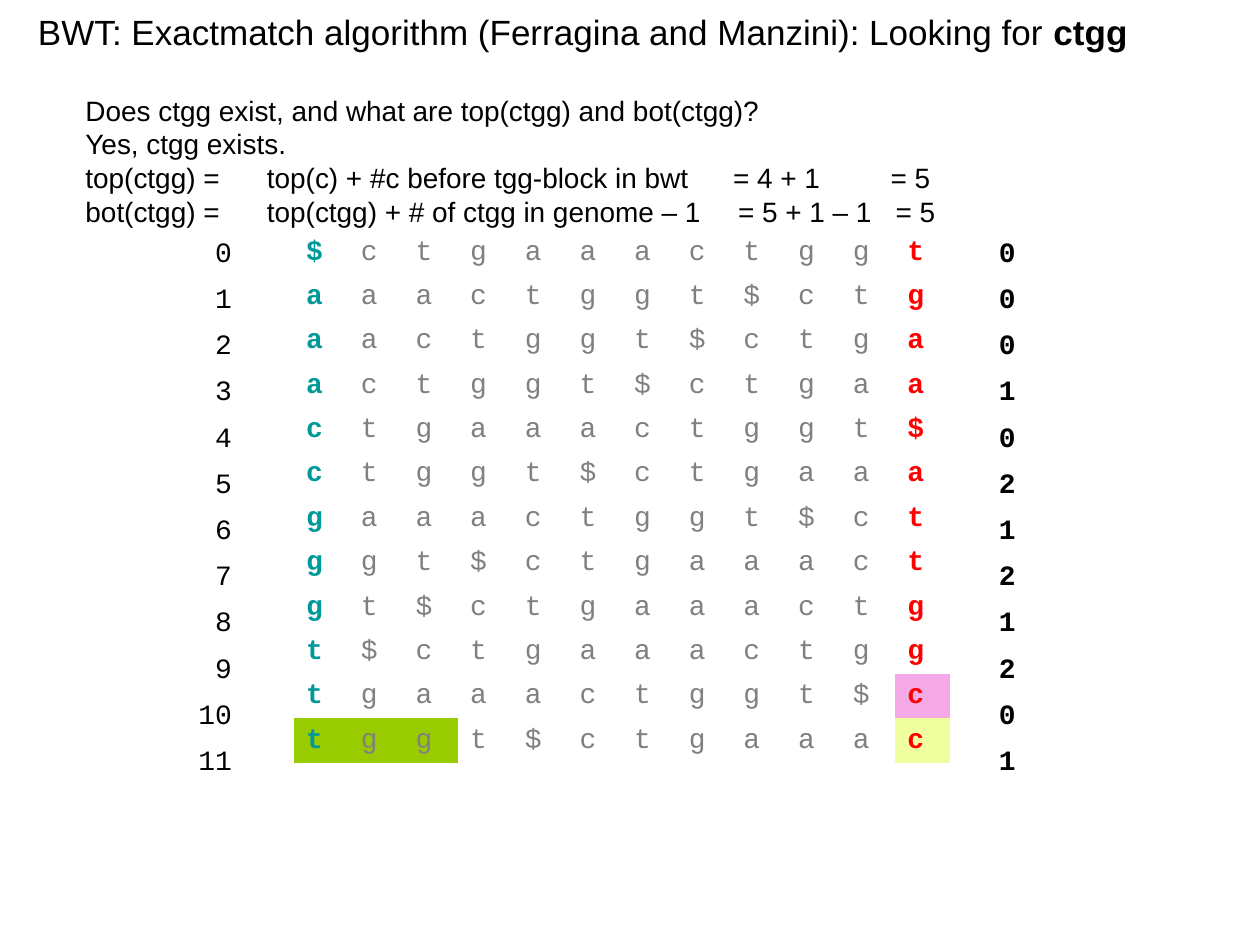
from dataclasses import dataclass
from typing import Callable

from lxml import etree
from pptx import Presentation
from pptx.dml.color import RGBColor
from pptx.enum.text import MSO_ANCHOR, PP_ALIGN
from pptx.oxml.ns import qn
from pptx.util import Inches, Pt

BOTTOM, MIDDLE = MSO_ANCHOR.BOTTOM, MSO_ANCHOR.MIDDLE
LEFT, CENTER, RIGHT = PP_ALIGN.LEFT, PP_ALIGN.CENTER, PP_ALIGN.RIGHT
NO_STYLE_NO_GRID = "{2D5ABB26-0587-4C30-8999-92F81FD0307C}"


@dataclass(frozen=True)
class Theme:
    sans: str = "Arial"
    mono: str = "Courier New"
    title_size: int = 20
    body_size: int = 16
    line_pitch: float = 19.25
    black: str = "000000"
    first_column: str = "009999"
    middle_columns: str = "808080"
    bwt_column: str = "FF0000"
    query_block: str = "99CC00"
    earlier_c: str = "F5A9E7"
    matching_c: str = "EFFF9F"


@dataclass(frozen=True)
class CellStyle:
    color: str
    bold: bool = False
    fill: str | None = None


@dataclass(frozen=True)
class Grid:
    left: float
    width: float
    align: PP_ALIGN
    rows: list[list[str]]
    style: Callable[[int, int], CellStyle]


@dataclass(frozen=True)
class Line:
    text: str
    tabs: tuple[float, ...] = ()


THEME = Theme()
GRID_TOP, ROW_HEIGHT = 1.83, 0.35
GENOME = "ctgaaactggt$"
QUERY_SUFFIX = "tgg"
ROTATIONS = sorted(GENOME[i:] + GENOME[:i] for i in range(len(GENOME)))
BWT = "".join(rotation[-1] for rotation in ROTATIONS)
LAST = len(GENOME) - 1
C_FILLS = (THEME.earlier_c, THEME.matching_c)
LINES = [
    Line("Does ctgg exist, and what are top(ctgg) and bot(ctgg)?"),
    Line("Yes, ctgg exists."),
    Line("top(ctgg) =\ttop(c) + #c before tgg-block in bwt\t= 4 + 1\t= 5",
         (1.44, 5.14, 6.39)),
    Line("bot(ctgg) =\ttop(ctgg) + # of ctgg in genome – 1\t= 5 + 1 – 1\t= 5",
         (1.44, 5.18, 6.43)),
]


def rotation_style(row: int, col: int) -> CellStyle:
    fill = None
    if ROTATIONS[row].startswith(QUERY_SUFFIX) and col < len(QUERY_SUFFIX):
        fill = THEME.query_block
    if col == LAST:
        if BWT[row] == "c":
            fill = C_FILLS[BWT[:row].count("c")]
        return CellStyle(THEME.bwt_column, True, fill)
    if col == 0:
        return CellStyle(THEME.first_column, True, fill)
    return CellStyle(THEME.middle_columns, False, fill)


def index_style(row: int, col: int) -> CellStyle:
    return CellStyle(THEME.black)


def count_style(row: int, col: int) -> CellStyle:
    return CellStyle(THEME.black, True)


def set_font(font, name: str, size: int, color: str) -> None:
    font.name, font.size = name, Pt(size)
    font.color.rgb = RGBColor.from_string(color)


def add_text_frame(s, left: float, top: float, width: float, height: float):
    tf = s.shapes.add_textbox(Inches(left), Inches(top),
                              Inches(width), Inches(height)).text_frame
    tf.word_wrap = True
    return tf


def add_tabs(p, positions: tuple[float, ...]) -> None:
    if positions:
        tab_list = etree.SubElement(p._p.get_or_add_pPr(), qn("a:tabLst"))
        for position in positions:
            etree.SubElement(tab_list, qn("a:tab"),
                             pos=str(Inches(position)), algn="l")


def add_title(s) -> None:
    tf = add_text_frame(s, 0, 0, 9.25, 0.5)
    tf.vertical_anchor = MIDDLE
    p = tf.paragraphs[0]
    p.alignment = CENTER
    set_font(p.font, THEME.sans, THEME.title_size, THEME.black)
    p.add_run().text = "BWT: Exactmatch algorithm (Ferragina and Manzini): Looking for "
    r = p.add_run()
    r.text = "ctgg"
    r.font.bold = True


def add_explanation(s, lines: list[Line]) -> None:
    tf = add_text_frame(s, 0.58, 0.69, 6.99, 1.17)
    for i, line in enumerate(lines):
        p = tf.add_paragraph() if i else tf.paragraphs[0]
        p.text = line.text
        p.line_spacing = Pt(THEME.line_pitch)
        set_font(p.font, THEME.sans, THEME.body_size, THEME.black)
        add_tabs(p, line.tabs)


def add_grid(s, grid: Grid) -> None:
    n_rows, n_cols = len(grid.rows), len(grid.rows[0])
    table = s.shapes.add_table(n_rows, n_cols, Inches(grid.left), Inches(GRID_TOP),
                               Inches(grid.width), Inches(ROW_HEIGHT * n_rows)).table
    table.first_row = table.horz_banding = False
    table._tbl.tblPr.find(qn("a:tableStyleId")).text = NO_STYLE_NO_GRID
    for row, values in enumerate(grid.rows):
        for col, value in enumerate(values):
            style = grid.style(row, col)
            cell = table.cell(row, col)
            cell.vertical_anchor = BOTTOM
            if style.fill:
                cell.fill.solid()
                cell.fill.fore_color.rgb = RGBColor.from_string(style.fill)
            else:
                cell.fill.background()
            p = cell.text_frame.paragraphs[0]
            p.text, p.alignment = value, grid.align
            set_font(p.font, THEME.mono, THEME.body_size, style.color)
            p.font.bold = style.bold


def main() -> None:
    prs = Presentation()
    prs.slide_width, prs.slide_height = Inches(10), Inches(7.5)
    s = prs.slides.add_slide(prs.slide_layouts[6])
    indices = [[str(i)] for i in range(len(BWT))]
    earlier_counts = [[str(BWT[:i].count(c))] for i, c in enumerate(BWT)]
    add_grid(s, Grid(2.33, 5.21, LEFT, [list(r) for r in ROTATIONS], rotation_style))
    add_explanation(s, LINES)
    add_grid(s, Grid(1.08, 0.86, RIGHT, indices, index_style))
    add_title(s)
    add_grid(s, Grid(7.58, 0.58, RIGHT, earlier_counts, count_style))
    prs.save("out.pptx")


if __name__ == "__main__":
    main()
